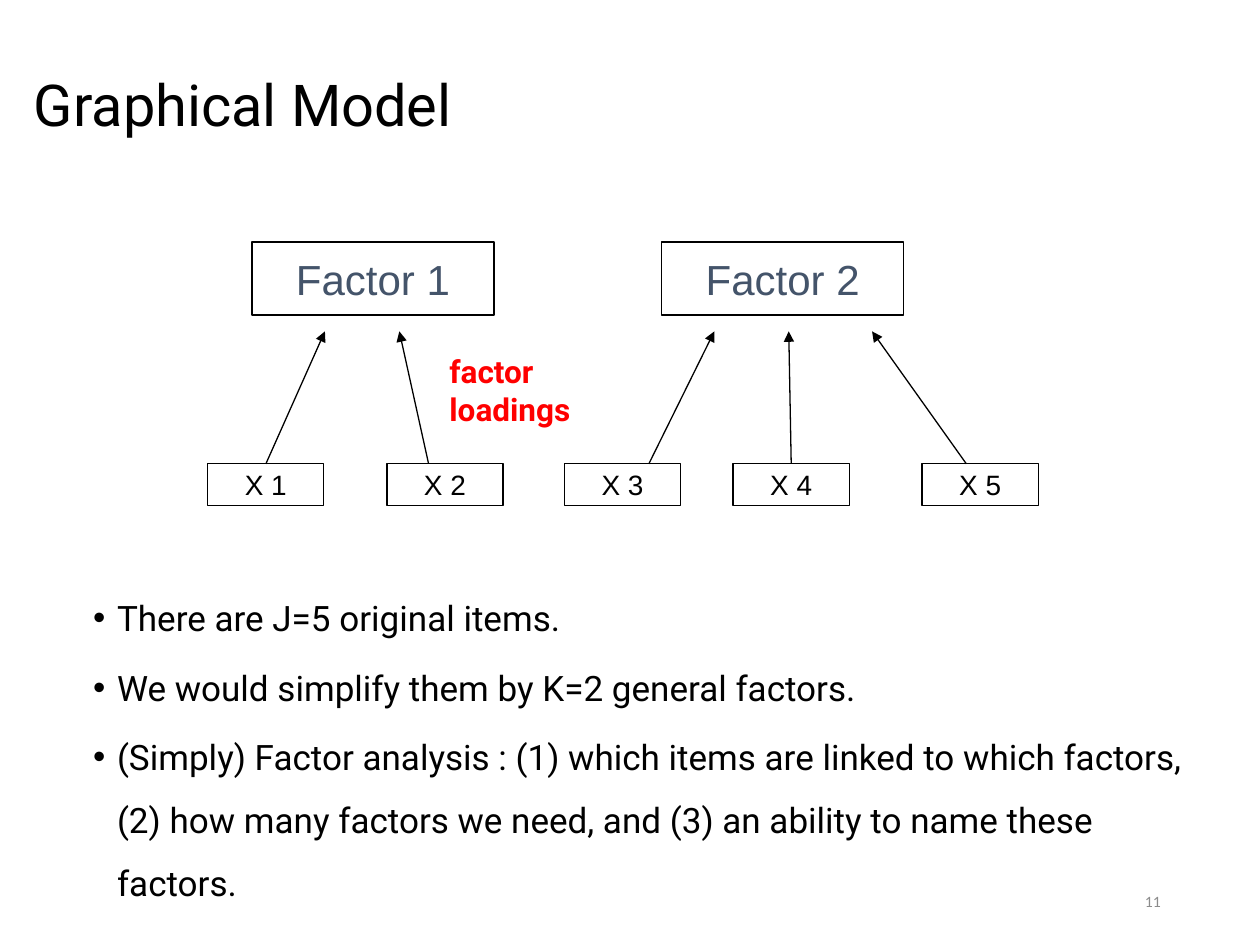
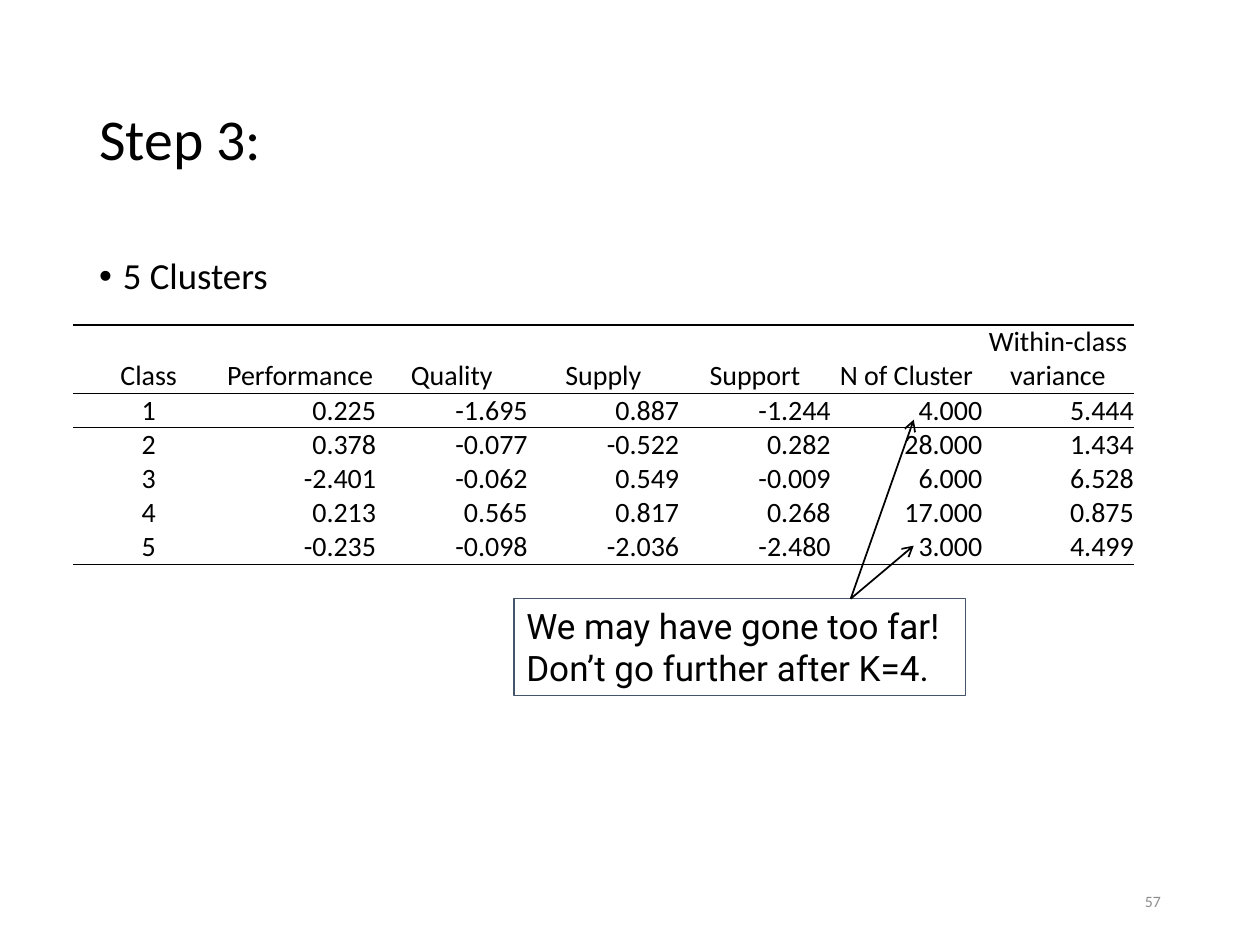
import dataclasses

import lxml.etree
import pptx
import pptx.dml.color
import pptx.enum.shapes
import pptx.enum.text
import pptx.oxml.ns
import pptx.util

Cm = pptx.util.Cm
Pt = pptx.util.Pt
ALIGN = pptx.enum.text.PP_ALIGN
ANCHOR = pptx.enum.text.MSO_ANCHOR
RECTANGLE = pptx.enum.shapes.MSO_SHAPE.RECTANGLE
STRAIGHT = pptx.enum.shapes.MSO_CONNECTOR.STRAIGHT
PLAIN_TABLE_STYLE = "{2D5ABB26-0587-4C30-8999-92F81FD0307C}"


@dataclasses.dataclass(frozen=True)
class Theme:
    ink: str = "000000"
    slate: str = "44546A"
    accent: str = "FF0000"
    grey: str = "8C8C8C"
    roboto: str = "Roboto"
    calibri: str = "Calibri"
    arial: str = "Arial"
    title: float = 33
    factor: float = 24
    bullet: float = 21
    body: float = 20
    note: float = 18
    small: float = 16
    number: float = 9
    thin: float = 0.75


THEME = Theme()


@dataclasses.dataclass(frozen=True)
class Box:
    """A region in centimetres."""
    left: float
    top: float
    width: float
    height: float

    def inside(self, left, top, width, height):
        return Box(self.left + left, self.top + top, width, height)

    def emu(self):
        return [Cm(side) for side in dataclasses.astuple(self)]


def rgb(colour):
    return pptx.dml.color.RGBColor.from_string(colour)


def sub_element(parent, tag, **attributes):
    return lxml.etree.SubElement(parent, pptx.oxml.ns.qn(tag), attributes)


def write(paragraph, words, font, size, colour=THEME.ink, bold=False,
          align=ALIGN.LEFT):
    paragraph.alignment = align
    run = paragraph.add_run()
    run.text = words
    run.font.name = font
    run.font.size = Pt(size)
    run.font.bold = bold
    run.font.color.rgb = rgb(colour)


def add_text_frame(slide, box, anchor=ANCHOR.TOP):
    frame = slide.shapes.add_textbox(*box.emu()).text_frame
    frame.word_wrap = True
    frame.vertical_anchor = anchor
    return frame


def add_frame(slide, box, colour=THEME.ink, anchor=ANCHOR.MIDDLE):
    """Add an unfilled, thinly outlined rectangle."""
    frame = slide.shapes.add_shape(RECTANGLE, *box.emu())
    frame.shadow.inherit = False
    frame.fill.background()
    frame.line.color.rgb = rgb(colour)
    frame.line.width = Pt(THEME.thin)
    frame.text_frame.word_wrap = True
    frame.text_frame.vertical_anchor = anchor
    return frame


def add_arrow(slide, start, end, width=THEME.thin, head="triangle"):
    arrow = slide.shapes.add_connector(
        STRAIGHT, *(Cm(length) for length in (*start, *end)))
    arrow.line.color.rgb = rgb(THEME.ink)
    arrow.line.width = Pt(width)
    sub_element(arrow.line._get_or_add_ln(), "a:tailEnd", type=head)
    sub_element(arrow._element.spPr, "a:effectLst")
    return arrow


def add_bullets(slide, box, points, font, size, margin, line_spacing,
                space_before):
    frame = add_text_frame(slide, box)
    for index, point in enumerate(points):
        paragraph = frame.add_paragraph() if index else frame.paragraphs[0]
        properties = paragraph._p.get_or_add_pPr()
        properties.set("marL", str(Cm(margin)))
        properties.set("indent", str(Cm(-0.48)))
        sub_element(properties, "a:buFont", typeface=THEME.arial)
        sub_element(properties, "a:buChar", char="•")
        paragraph.line_spacing = line_spacing
        paragraph.space_before = Pt(space_before if index else 0)
        write(paragraph, point, font, size)


def start_slide(deck, title, title_box, title_font, number):
    slide = deck.slides.add_slide(deck.slide_layouts[5])
    heading = slide.shapes.title
    heading.left, heading.top, heading.width, heading.height = title_box.emu()
    heading.text_frame.vertical_anchor = ANCHOR.MIDDLE
    paragraph = heading.text_frame.paragraphs[0]
    paragraph.line_spacing = 0.9
    write(paragraph, title, title_font, THEME.title)

    footer = add_text_frame(slide, Box(17.93, 17.65, 5.72, 1.02), ANCHOR.MIDDLE)
    write(footer.paragraphs[0], str(number), THEME.calibri, THEME.number,
          THEME.grey, align=ALIGN.RIGHT)
    return slide


def add_factor_diagram(slide, box):
    for name, left in (("Factor 1", 0.89), ("Factor 2", 9.15)):
        factor = add_frame(slide, box.inside(left, 0, 4.88, 1.47))
        write(factor.text_frame.paragraphs[0], name, THEME.arial,
              THEME.factor, THEME.slate, align=ALIGN.CENTER)

    # Item, its left edge, where its arrow starts (None: middle) and ends
    items = (("X 1", 0, None, 2.36),
             ("X 2", 3.61, 4.45, 3.86),
             ("X 3", 7.19, 8.89, 10.21),
             ("X 4", 10.59, None, 11.71),
             ("X 5", 14.4, 15.29, 13.39))
    item_top, item_width = 4.47, 2.34
    for name, left, start, end in items:
        item = add_frame(slide, box.inside(left, item_top, item_width, 0.84))
        write(item.text_frame.paragraphs[0], name, THEME.arial, THEME.small,
              align=ALIGN.CENTER)
        start_x = left + item_width / 2 if start is None else start
        arrow = add_arrow(slide, (box.left + start_x, box.top + item_top),
                          (box.left + end, box.top + 1.8))
        if start is None:
            arrow.begin_connect(item, 0)

    loadings = add_text_frame(slide, box.inside(4.62, 2.1, 3.2, 1.5))
    write(loadings.paragraphs[0], "factor loadings", THEME.roboto, THEME.note,
          THEME.accent, bold=True)


def add_rule(cell, side, width):
    """Draw one black border; side is a:lnT or a:lnB."""
    properties = cell._tc.get_or_add_tcPr()
    rule = lxml.etree.Element(pptx.oxml.ns.qn(side), w=str(Pt(width)))
    sub_element(sub_element(rule, "a:solidFill"), "a:srgbClr", val=THEME.ink)
    properties.insert(0, rule)


def add_cluster_table(slide, box, headings, clusters):
    rows = [headings] + [
        [str(number)] + [f"{value:.3f}" for value in values]
        for number, values in enumerate(clusters, 1)]
    table = slide.shapes.add_table(
        len(rows), len(headings), *box.emu()).table
    table.first_row = table.horz_banding = False
    table._tbl.tblPr.find(
        pptx.oxml.ns.qn("a:tableStyleId")).text = PLAIN_TABLE_STYLE
    for column in table.columns:
        column.width = Cm(box.width / len(headings))

    last = len(rows) - 1
    # The heading row is two lines high
    line_height = box.height / (len(rows) + 1)
    bottom_rules = {0: 0.5, last: 1}
    top_rules = {0: 1, 1: 0.5}
    for r, row in enumerate(rows):
        table.rows[r].height = Cm(line_height if r else 2 * line_height)
        for c, words in enumerate(row):
            cell = table.cell(r, c)
            cell.fill.background()
            cell.vertical_anchor = ANCHOR.BOTTOM
            cell.margin_left = cell.margin_right = 0
            cell.margin_top = cell.margin_bottom = 0
            write(cell.text_frame.paragraphs[0], words, THEME.calibri,
                  THEME.small, align=ALIGN.RIGHT if r and c else ALIGN.CENTER)
            for side, rules in (("a:lnB", bottom_rules), ("a:lnT", top_rules)):
                if r in rules:
                    add_rule(cell, side, rules[r])


def add_warning(slide, box):
    warning = add_frame(slide, box, THEME.slate, ANCHOR.TOP)
    write(warning.text_frame.paragraphs[0],
          "We may have gone too far! Don’t go further after K=4.",
          THEME.roboto, THEME.body)
    for rise in (1.07, 3.61):
        add_arrow(slide, (box.left + 6.79, box.top),
                  (box.left + 8.06, box.top - rise), 1, "arrow")


def build_graphical_model(deck):
    slide = start_slide(deck, "Graphical Model", Box(0.43, 0.33, 21.9, 3.68),
                        THEME.roboto, 11)
    add_factor_diagram(slide, Box(4.19, 4.88, 16.74, 5.31))
    add_bullets(slide, Box(0.69, 11.48, 23.7, 7.19), (
        "There are J=5 original items.",
        "We would simplify them by K=2 general factors.",
        "(Simply) Factor analysis : (1) which items are linked to which "
        "factors, (2) how many factors we need, and (3) an ability to name "
        "these factors.",
    ), THEME.roboto, THEME.body, 1.42, 1.5, 3.8)


def build_five_clusters(deck):
    slide = start_slide(deck, "Step 3:", Box(1.75, 1.02, 21.9, 3.68),
                        THEME.calibri, 57)
    add_bullets(slide, Box(1.75, 5.08, 21.9, 12.09), ("5 Clusters",),
                THEME.calibri, THEME.bullet, 0.48, 0.9, 7.5)
    add_cluster_table(
        slide, Box(1.47, 6.55, 21.39, 4.83),
        ["Class", "Performance", "Quality", "Supply", "Support",
         "N of Cluster", "Within-class variance"],
        [(0.225, -1.695, 0.887, -1.244, 4, 5.444),
         (0.378, -0.077, -0.522, 0.282, 28, 1.434),
         (-2.401, -0.062, 0.549, -0.009, 6, 6.528),
         (0.213, 0.565, 0.817, 0.268, 17, 0.875),
         (-0.235, -0.098, -2.036, -2.480, 3, 4.499)])
    add_warning(slide, Box(10.36, 12.07, 9.1, 1.95))


def main():
    deck = pptx.Presentation()
    deck.slide_width = Cm(25.4)
    deck.slide_height = Cm(19.05)
    build_graphical_model(deck)
    build_five_clusters(deck)
    deck.save("out.pptx")


if __name__ == "__main__":
    main()
